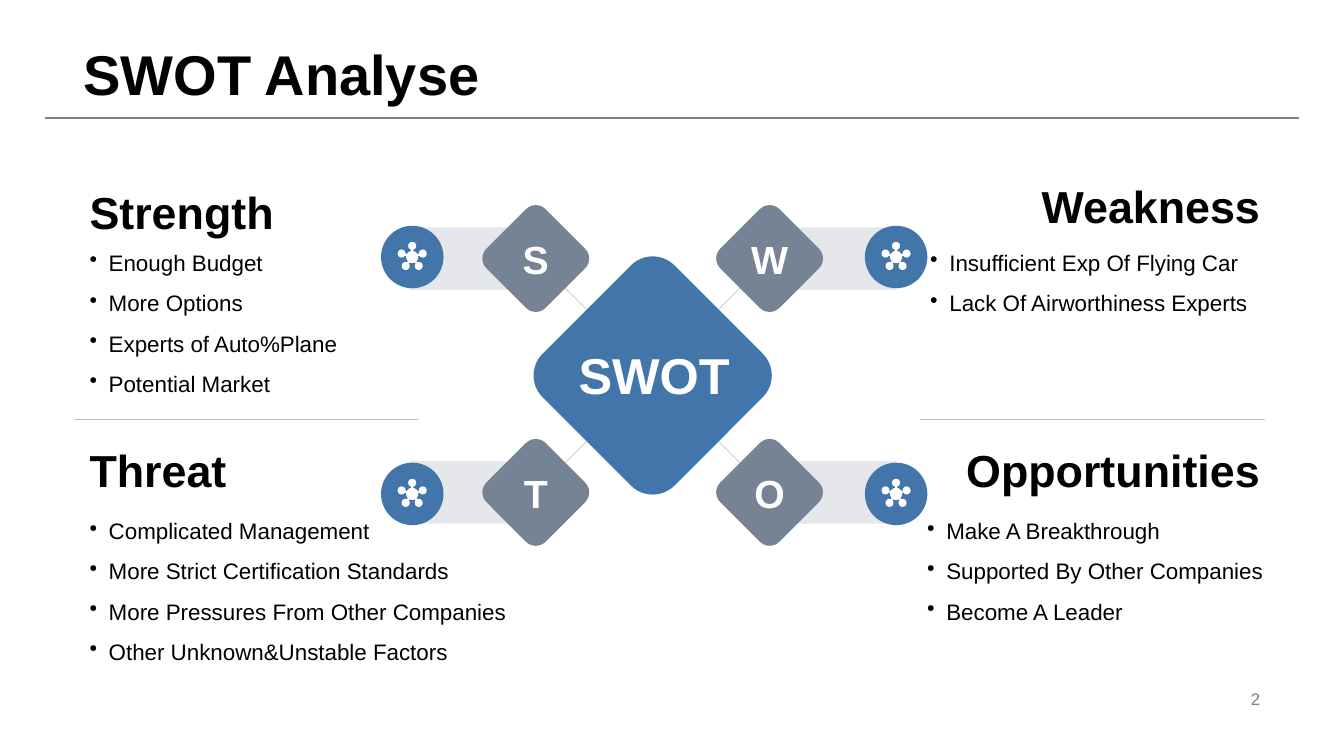
from itertools import product
from math import asin, cos, pi, sin

from lxml.etree import SubElement
from pptx import Presentation
from pptx.dml.color import RGBColor
from pptx.enum.shapes import MSO_CONNECTOR as Connector, MSO_SHAPE as Shape
from pptx.enum.text import MSO_ANCHOR as Anchor, PP_ALIGN as Align
from pptx.oxml.ns import qn
from pptx.util import Emu, Inches, Pt

BLACK = RGBColor(0x00, 0x00, 0x00)
WHITE = RGBColor(0xFF, 0xFF, 0xFF)
BLUE = RGBColor(0x42, 0x76, 0xAA)
SLATE = RGBColor(0x76, 0x83, 0x94)
PALE = RGBColor(0xE6, 0xE7, 0xEA)
GREY = RGBColor(0x80, 0x80, 0x80)
SPOKE_GREY = RGBColor(0xA6, 0xAA, 0xA9)
RULE_GREY = RGBColor(0xBF, 0xBF, 0xBF)

COLUMNS, ROWS = 160, 90
CELL = Inches(13.333) / COLUMNS
HUB_X, HUB_Y = 77.7, 44.7
LETTER_OFFSET = 13.92
BAR_OFFSET = 21.3
BADGE_COLUMNS, BADGE_ROWS = (49.08, 106.68), (30.6, 58.8)
BADGE_SIZE = 7.44
LEFT, RIGHT, PANEL_WIDTH = 9.48, 109.56, 41.64

PANELS = [
    ("Strength", Align.LEFT, (LEFT, 21.6, PANEL_WIDTH, 7.2),
     (LEFT, 27.48, PANEL_WIDTH, 18.96),
     ["Enough Budget", "More Options", "Experts of Auto%Plane", "Potential Market"]),
    ("Threat", Align.LEFT, (LEFT, 52.44, PANEL_WIDTH, 6.96),
     (LEFT, 59.4, 52.56, 21),
     ["Complicated Management", "More Strict Certification Standards",
      "More Pressures From Other Companies", "Other Unknown&Unstable Factors"]),
    ("Weakness", Align.RIGHT, (RIGHT, 21.6, PANEL_WIDTH, 5.76),
     (RIGHT, 27.48, PANEL_WIDTH, 18.96),
     ["Insufficient Exp Of Flying Car", "Lack Of Airworthiness Experts"]),
    ("Opportunities", Align.RIGHT, (RIGHT, 52.44, PANEL_WIDTH, 6.96),
     (109.2, 59.4, 46.8, 20.88),
     ["Make A Breakthrough", "Supported By Other Companies", "Become A Leader"]),
]


def cells(*counts):
    return [Emu(round(count * CELL)) for count in counts]


def centred(x, y, width, height):
    return x - width / 2, y - height / 2, width, height


def add_bullet(paragraph):
    properties = paragraph._p.get_or_add_pPr()
    properties.set("marL", str(Inches(0.19)))
    properties.set("indent", str(-Inches(0.19)))
    SubElement(properties, qn("a:buChar")).set("char", "•")


def add_text(slide, box, lines, size=16, color=BLACK, bold=False, align=Align.LEFT,
             anchor=Anchor.MIDDLE, spacing=None, bullets=False, tight=False):
    frame = slide.shapes.add_textbox(*cells(*box)).text_frame
    frame.word_wrap = True
    frame.vertical_anchor = anchor
    if tight:
        frame.margin_left = frame.margin_right = Inches(0.03)
        frame.margin_top = frame.margin_bottom = Inches(0.03)
    for index, line in enumerate(lines):
        paragraph = frame.add_paragraph() if index else frame.paragraphs[0]
        paragraph.alignment = align
        if spacing:
            paragraph.line_spacing = spacing
        if bullets:
            add_bullet(paragraph)
        run = paragraph.add_run()
        run.text = line
        run.font.name = "Arial"
        run.font.size = Pt(size)
        run.font.bold = bold
        run.font.color.rgb = color


def paint(shape, color):
    shape.shadow.inherit = False
    shape.fill.solid()
    shape.fill.fore_color.rgb = color
    shape.line.fill.background()


def add_block(slide, kind, box, color):
    shape = slide.shapes.add_shape(kind, *cells(*box))
    paint(shape, color)
    return shape


def add_line(slide, start, end, color, width):
    connector = slide.shapes.add_connector(Connector.STRAIGHT, *cells(*start, *end))
    connector.line.color.rgb = color
    connector.line.width = Pt(width)
    SubElement(connector._element.spPr, qn("a:effectLst"))


def add_diamond(slide, x, y, side, color):
    diamond = add_block(slide, Shape.ROUNDED_RECTANGLE, centred(x, y, side, side), color)
    diamond.adjustments[0] = 0.165
    diamond.rotation = 45


def arc(x, y, radius, start, end, steps=12):
    angles = [start + (end - start) * step / steps for step in range(steps + 1)]
    return [(x + radius * cos(angle), y + radius * sin(angle)) for angle in angles]


def add_network_icon(slide, x, y, hub=0.72, reach=1.32, ball=0.48, half_spoke=0.12):
    points = []
    turn = 2 * pi / 5
    ball_gap, hub_gap = asin(half_spoke / ball), asin(half_spoke / hub)
    for arm in range(5):
        angle = arm * turn - pi / 2
        points += arc(x + reach * cos(angle), y + reach * sin(angle), ball,
                      angle - pi + ball_gap, angle + pi - ball_gap)
        points += arc(x, y, hub, angle + hub_gap, angle + turn - hub_gap)
    outline = [cells(*point) for point in points]
    builder = slide.shapes.build_freeform(*outline[0])
    builder.add_line_segments(outline[1:], close=True)
    paint(builder.convert_to_shape(), WHITE)


def add_badge(slide, x, y):
    add_block(slide, Shape.OVAL, centred(x, y, BADGE_SIZE, BADGE_SIZE), BLUE)
    add_network_icon(slide, x, y)


def add_swot_diagram(slide):
    corners = list(product((-1, 1), repeat=2))
    for side, level in corners:
        add_block(slide, Shape.RECTANGLE,
                  centred(HUB_X + side * BAR_OFFSET, HUB_Y + level * LETTER_OFFSET,
                          15.24, BADGE_SIZE), PALE)
        add_line(slide, (HUB_X + side * 5.22, HUB_Y + level * 5.22),
                 (HUB_X + side * 10.44, HUB_Y + level * 10.44), SPOKE_GREY, 0.25)
    add_diamond(slide, HUB_X, HUB_Y, 22.2, BLUE)
    add_text(slide, centred(77.88, 44.58, 21.12, 8.28), ["SWOT"], size=36, color=WHITE,
             bold=True, align=Align.CENTER, tight=True)
    for (side, level), letter in zip(corners, "STWO"):
        x, y = HUB_X + side * LETTER_OFFSET, HUB_Y + level * LETTER_OFFSET
        add_diamond(slide, x, y, 9.96, SLATE)
        add_text(slide, centred(x, y, 8.16, 6.48), [letter], size=28, color=WHITE,
                 bold=True, align=Align.CENTER, tight=True)
    for x, y in product(BADGE_COLUMNS, BADGE_ROWS):
        add_badge(slide, x, y)


def add_panel(slide, heading, align, heading_box, list_box, items):
    add_text(slide, list_box, items, anchor=Anchor.TOP, spacing=1.5, bullets=True)
    add_text(slide, heading_box, [heading], size=32, bold=True, align=align)


def main():
    presentation = Presentation()
    presentation.slide_width, presentation.slide_height = cells(COLUMNS, ROWS)
    slide = presentation.slides.add_slide(presentation.slide_layouts[6])
    add_text(slide, (8.76, 0, 142.44, 13.44), ["SWOT Analyse"], size=40, bold=True,
             anchor=Anchor.BOTTOM, spacing=0.9)
    add_text(slide, (113.04, 81.84, 38.16, 2.76), ["2"], size=12, color=GREY,
             align=Align.RIGHT)
    add_swot_diagram(slide)
    for panel in PANELS:
        add_panel(slide, *panel)
    for start in (8.76, RIGHT):
        add_line(slide, (start, 49.92), (start + 40.98, 49.92), RULE_GREY, 0.25)
    add_line(slide, (5.4, 14.04), (154.68, 14.04), GREY, 1.5)
    presentation.save("out.pptx")


if __name__ == "__main__":
    main()
